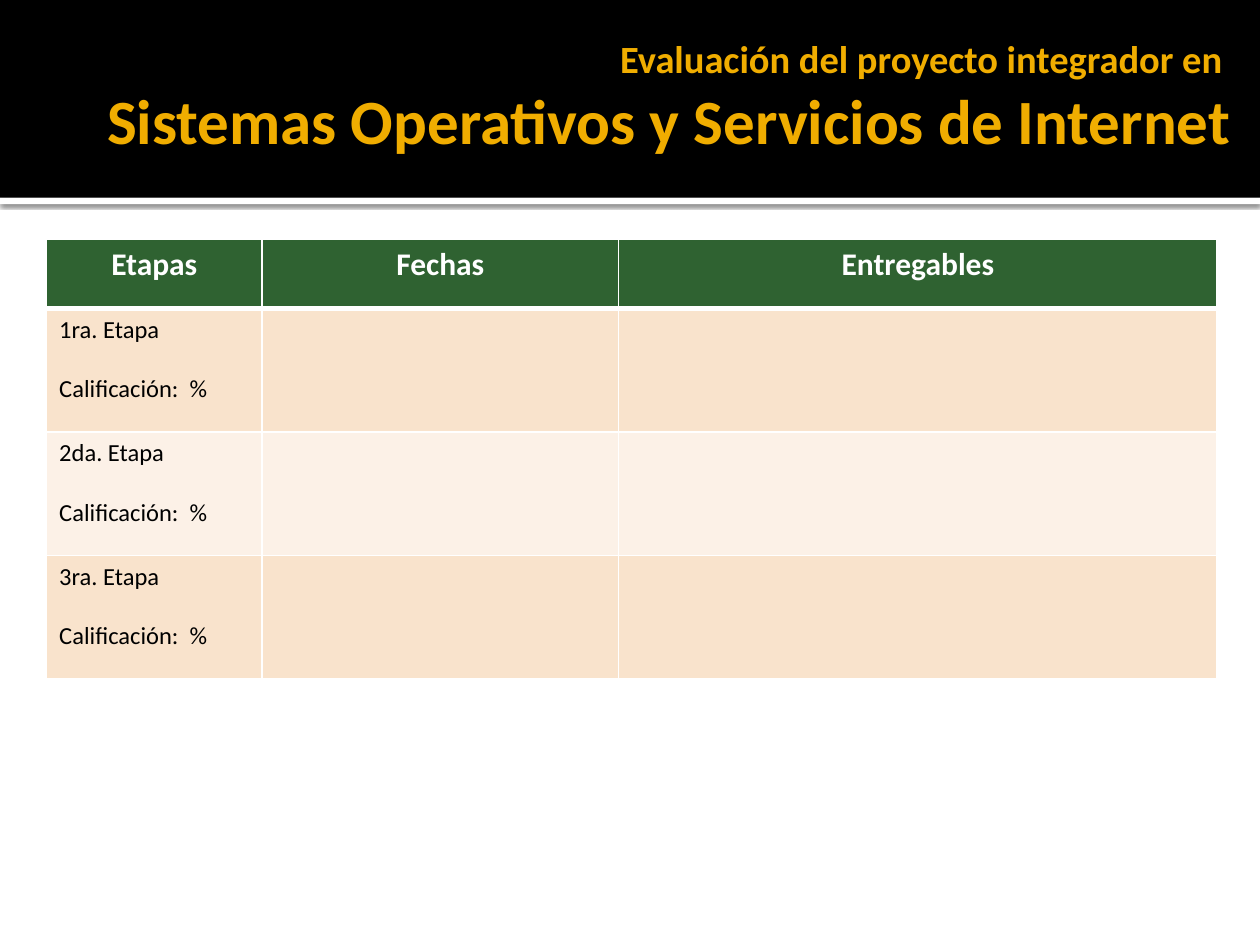
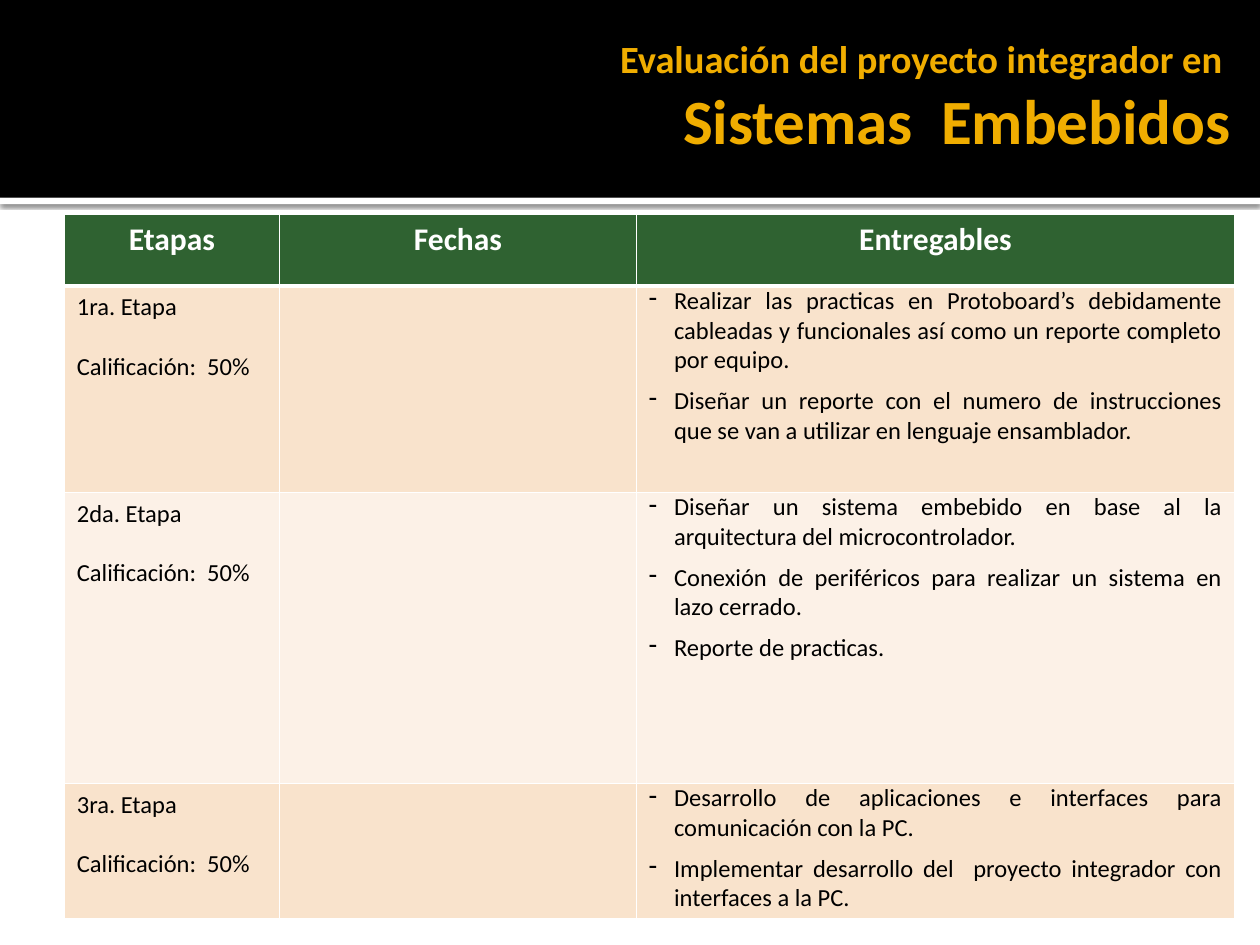
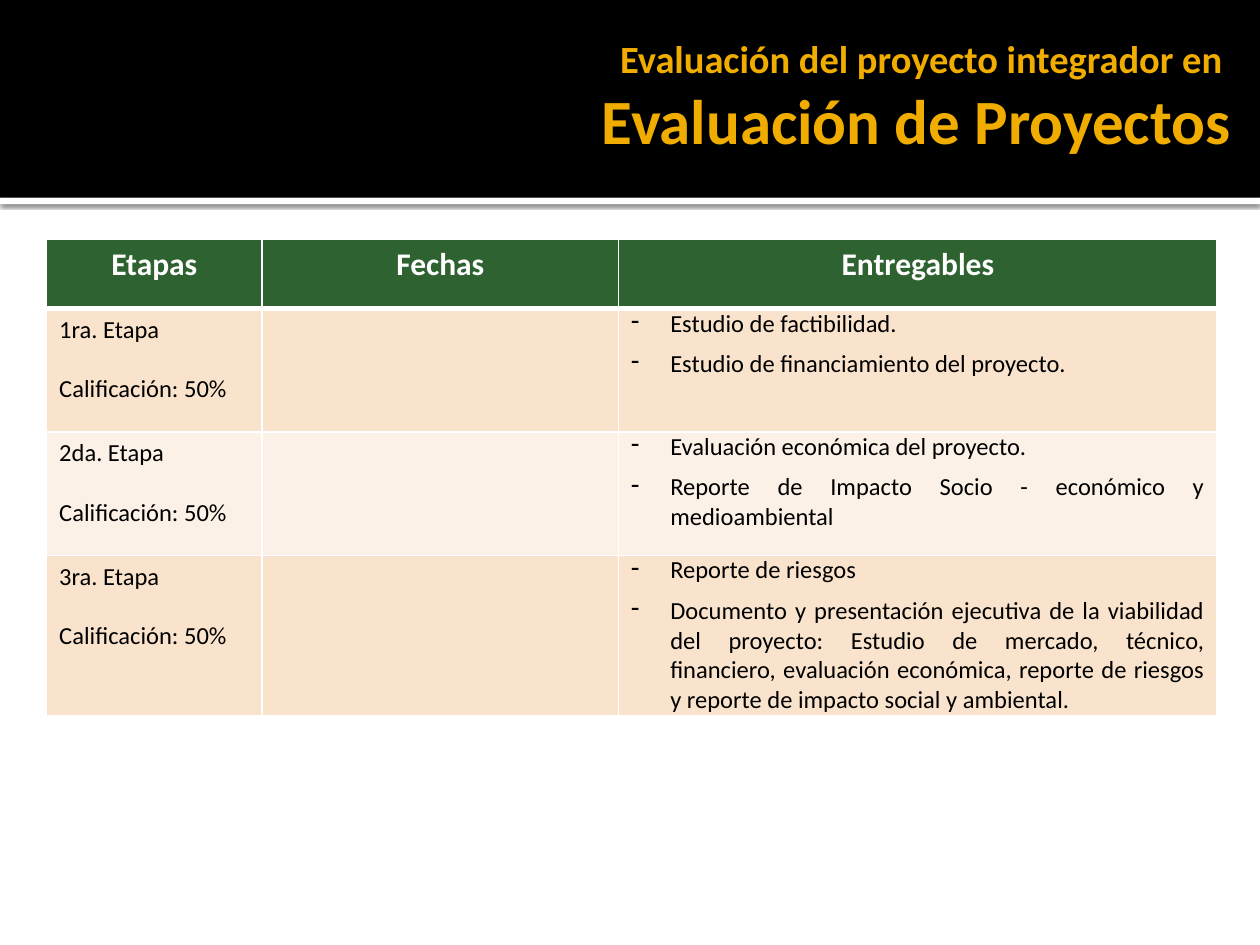
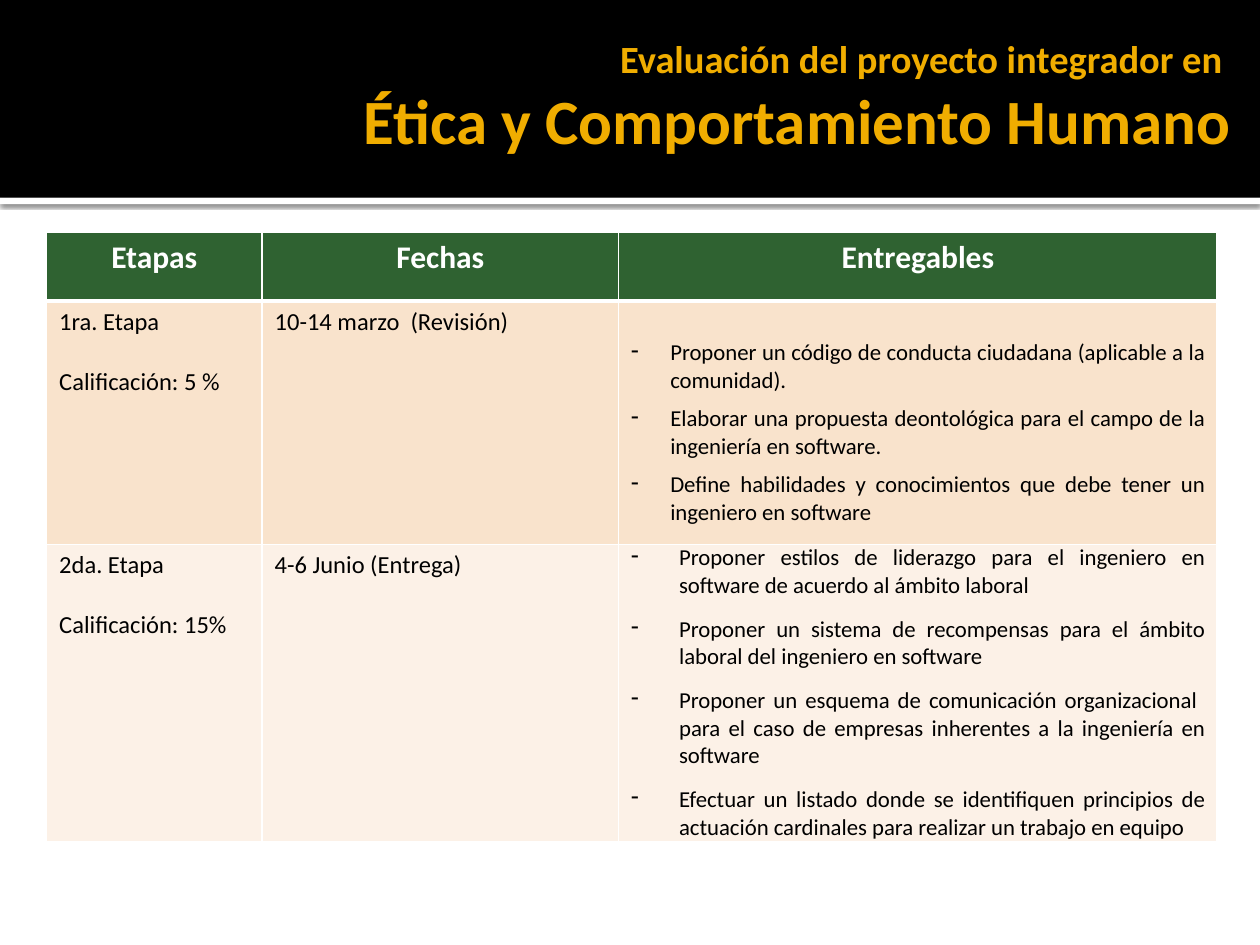
"""Build four slides that show how the integrating project is graded in each subject."""
from copy import deepcopy

from lxml import etree
from pptx import Presentation
from pptx import util as u
from pptx.dml.color import RGBColor
from pptx.enum import shapes, text
from pptx.oxml import parse_xml
from pptx.oxml.ns import nsdecls, qn

COLORS = {
    "band": "000000", "strip": "FFFFFF", "title": "F0AD00",
    "header": "2F6231", "header_text": "FFFFFF", "body_text": "000000",
    "odd_row": "F9E3CC", "even_row": "FCF1E7", "border": "FFFFFF",
}
FONT = "Calibri"
LEAD = "Evaluación del proyecto integrador en "
HEADINGS = ["Etapas", "Fechas", "Entregables"]
COLUMNS = [1.71, 2.83, 4.75]

SUBJECTS = [
    {
        "name": "Sistemas Operativos y Servicios de Internet",
        "corner": (0.37, 1.9), "rows": [0.55, 0.98, 0.98, 0.98],
        "stages": [
            {"stage": "1ra. Etapa", "grade": "Calificación:  %"},
            {"stage": "2da. Etapa", "grade": "Calificación:  %"},
            {"stage": "3ra. Etapa", "grade": "Calificación:  %"},
        ],
    },
    {
        "name": "Sistemas  Embebidos",
        "corner": (0.51, 1.7), "rows": [0.57, 1.64, 2.31, 1.07], "indent": 0.2,
        "stages": [
            {"stage": "1ra. Etapa", "grade": "Calificación:  50%", "items": [
                "Realizar las practicas en Protoboard’s debidamente cableadas y "
                "funcionales así como un reporte completo por equipo.",
                "Diseñar un reporte con el numero de instrucciones que se van a "
                "utilizar en lenguaje ensamblador."]},
            {"stage": "2da. Etapa", "grade": "Calificación:  50%", "items": [
                "Diseñar un sistema embebido en base al la arquitectura del microcontrolador.",
                "Conexión de periféricos para realizar un sistema en lazo cerrado.",
                "Reporte de practicas."]},
            {"stage": "3ra. Etapa", "grade": "Calificación:  50%", "items": [
                "Desarrollo de aplicaciones e interfaces para comunicación con la PC.",
                "Implementar desarrollo del  proyecto integrador con interfaces a la PC."]},
        ],
    },
    {
        "name": "Evaluación de Proyectos",
        "corner": (0.37, 1.9), "rows": [0.55, 0.98, 0.98, 1.25],
        "stages": [
            {"stage": "1ra. Etapa", "grade": "Calificación: 50%", "items": [
                "Estudio de factibilidad.",
                "Estudio de financiamiento del proyecto."]},
            {"stage": "2da. Etapa", "grade": "Calificación: 50%", "items": [
                "Evaluación económica del proyecto.",
                "Reporte de Impacto Socio - económico y medioambiental"]},
            {"stage": "3ra. Etapa", "grade": "Calificación: 50%", "items": [
                "Reporte de riesgos",
                "Documento y presentación ejecutiva de la viabilidad del proyecto: "
                "Estudio de mercado, técnico, financiero, evaluación económica, "
                "reporte de riesgos y reporte de impacto social y ambiental."]},
        ],
    },
    {
        "name": "Ética y Comportamiento Humano",
        "corner": (0.37, 1.84), "rows": [0.55, 1.93, 2.35], "size": 13,
        "stages": [
            {"stage": "1ra. Etapa", "grade": "Calificación: 5 %",
             "dates": "10-14 marzo  (Revisión)", "top": 0.3, "items": [
                 "Proponer un código de conducta ciudadana (aplicable a la comunidad).",
                 "Elaborar una propuesta deontológica para el campo de la ingeniería en software.",
                 "Define habilidades y conocimientos que debe tener un ingeniero en software"]},
            {"stage": "2da. Etapa", "grade": "Calificación: 15%",
             "dates": "4-6 Junio (Entrega)", "indent": 0.38, "before": 6, "items": [
                 "Proponer estilos de liderazgo para el ingeniero en software de "
                 "acuerdo al ámbito laboral",
                 "Proponer un sistema de recompensas para el ámbito laboral del "
                 "ingeniero en software",
                 "Proponer un esquema de comunicación organizacional  para el caso de "
                 "empresas inherentes a la ingeniería en software",
                 "Efectuar un listado donde se identifiquen principios de actuación "
                 "cardinales para realizar un trabajo en equipo"]},
        ],
    },
]


def rgb(key):
    return RGBColor.from_string(COLORS[key])


def style(run, size, color, bold=False):
    run.font.name, run.font.size, run.font.bold = FONT, u.Pt(size), bold
    run.font.color.rgb = rgb(color)


def add_master_bands(prs, slide):
    tree = prs.slide_master.shapes._spTree
    for index, (key, top, height) in enumerate([("strip", 1.57, 0.05), ("band", 0, 1.57)]):
        bar = slide.shapes.add_shape(shapes.MSO_SHAPE.RECTANGLE, 0, u.Inches(top),
                                     prs.slide_width, u.Inches(height))
        bar.fill.solid()
        bar.fill.fore_color.rgb = rgb(key)
        bar.line.fill.background()
        bar.shadow.inherit = False
        if key == "strip":
            effects = bar._element.spPr.find(qn("a:effectLst"))
            effects.append(parse_xml(
                f'<a:outerShdw {nsdecls("a")} blurRad="{u.Pt(2.5)}" dist="{u.Pt(0.8)}" '
                'dir="5400000" rotWithShape="0"><a:srgbClr val="000000">'
                '<a:alpha val="60000"/></a:srgbClr></a:outerShdw>'))
        tree.insert(2 + index, bar._element)


def place_title(title):
    title.left, title.top = u.Inches(0), u.Inches(0.08)
    title.width, title.height = u.Inches(9.82), u.Inches(1.37)
    frame = title.text_frame
    frame.margin_left = u.Inches(0.1)
    frame.margin_top = frame.margin_right = frame.margin_bottom = u.Inches(0.05)
    frame.vertical_anchor = text.MSO_ANCHOR.MIDDLE
    frame.auto_size = text.MSO_AUTO_SIZE.NONE
    frame.word_wrap = True


def write_title(title, name):
    title.text_frame.text = f"{LEAD}\v{name}"
    heading = title.text_frame.paragraphs[0]
    heading.alignment = text.PP_ALIGN.RIGHT
    for run, size in zip(heading.runs, (22, 36)):
        style(run, size, "title", bold=True)
    heading._p.find(qn("a:br")).append(deepcopy(heading.runs[0]._r.rPr))


def write_cell(cell, lines, size=14, color="body_text", bold=False):
    cell.text_frame.text = "\n".join(lines)
    for paragraph in cell.text_frame.paragraphs:
        for run in paragraph.runs:
            style(run, size, color, bold)
    return cell.text_frame.paragraphs


def paint_cell(cell, fill, top, bottom):
    cell.fill.solid()
    cell.fill.fore_color.rgb = rgb(fill)
    props = cell._tc.get_or_add_tcPr()
    for index, (side, width) in enumerate([("L", 1), ("R", 1), ("T", top), ("B", bottom)]):
        props.insert(index, parse_xml(
            f'<a:ln{side} {nsdecls("a")} w="{u.Pt(width)}"><a:solidFill>'
            f'<a:srgbClr val="{COLORS["border"]}"/></a:solidFill></a:ln{side}>'))


def write_items(cell, stage, subject):
    indent = u.Inches(stage.get("indent", subject.get("indent", 0.31)))
    cell.margin_top, cell.margin_bottom = u.Inches(stage.get("top", 0)), 0
    for item in write_cell(cell, stage["items"], subject.get("size", 14)):
        item.alignment = text.PP_ALIGN.JUSTIFY
        item.space_before, item.space_after = u.Pt(stage.get("before", 3)), u.Pt(3)
        props = item._p.get_or_add_pPr()
        props.set("marL", str(indent))
        props.set("indent", str(-indent))
        etree.SubElement(props, qn("a:buChar")).set("char", "-")


def add_stages(slide, subject):
    left, top = subject["corner"]
    heights = subject["rows"]
    table = slide.shapes.add_table(
        len(heights), len(COLUMNS), u.Inches(left), u.Inches(top),
        u.Inches(sum(COLUMNS)), u.Inches(sum(heights))).table
    table.horz_banding = False
    for column, width in zip(table.columns, COLUMNS):
        column.width = u.Inches(width)
    for index, height in enumerate(heights):
        table.rows[index].height = u.Inches(height)
        fill = "header" if index == 0 else "odd_row" if index % 2 else "even_row"
        for cell in table.rows[index].cells:
            paint_cell(cell, fill, top=3 if index == 1 else 1, bottom=3 if index == 0 else 1)
    for cell, heading in zip(table.rows[0].cells, HEADINGS):
        write_cell(cell, [heading], 18, "header_text", True)[0].alignment = text.PP_ALIGN.CENTER
    for index, stage in enumerate(subject["stages"], start=1):
        stage_cell, dates_cell, items_cell = table.rows[index].cells
        write_cell(stage_cell, [stage["stage"], stage["grade"]])[1].space_before = u.Pt(17)
        if "dates" in stage:
            write_cell(dates_cell, [stage["dates"]])
        if "items" in stage:
            write_items(items_cell, stage, subject)


def main():
    prs = Presentation()
    prs.slide_width, prs.slide_height = u.Inches(10), u.Inches(7.5)
    layout = prs.slide_layouts.get_by_name("Title Only")
    place_title(layout.placeholders[0])
    for subject in SUBJECTS:
        slide = prs.slides.add_slide(layout)
        write_title(slide.shapes.title, subject["name"])
        add_stages(slide, subject)
    add_master_bands(prs, prs.slides[0])
    prs.save("out.pptx")


main()
